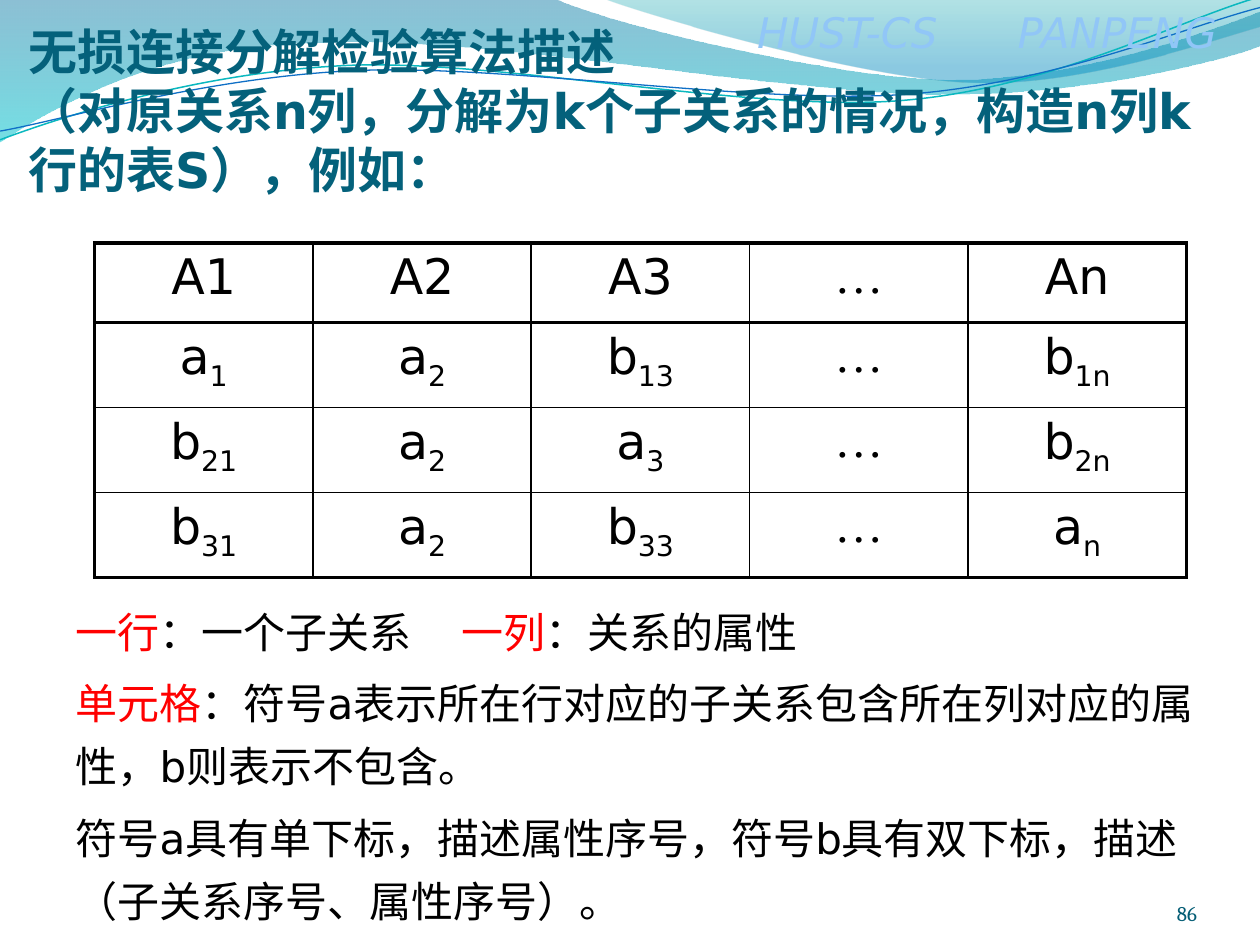
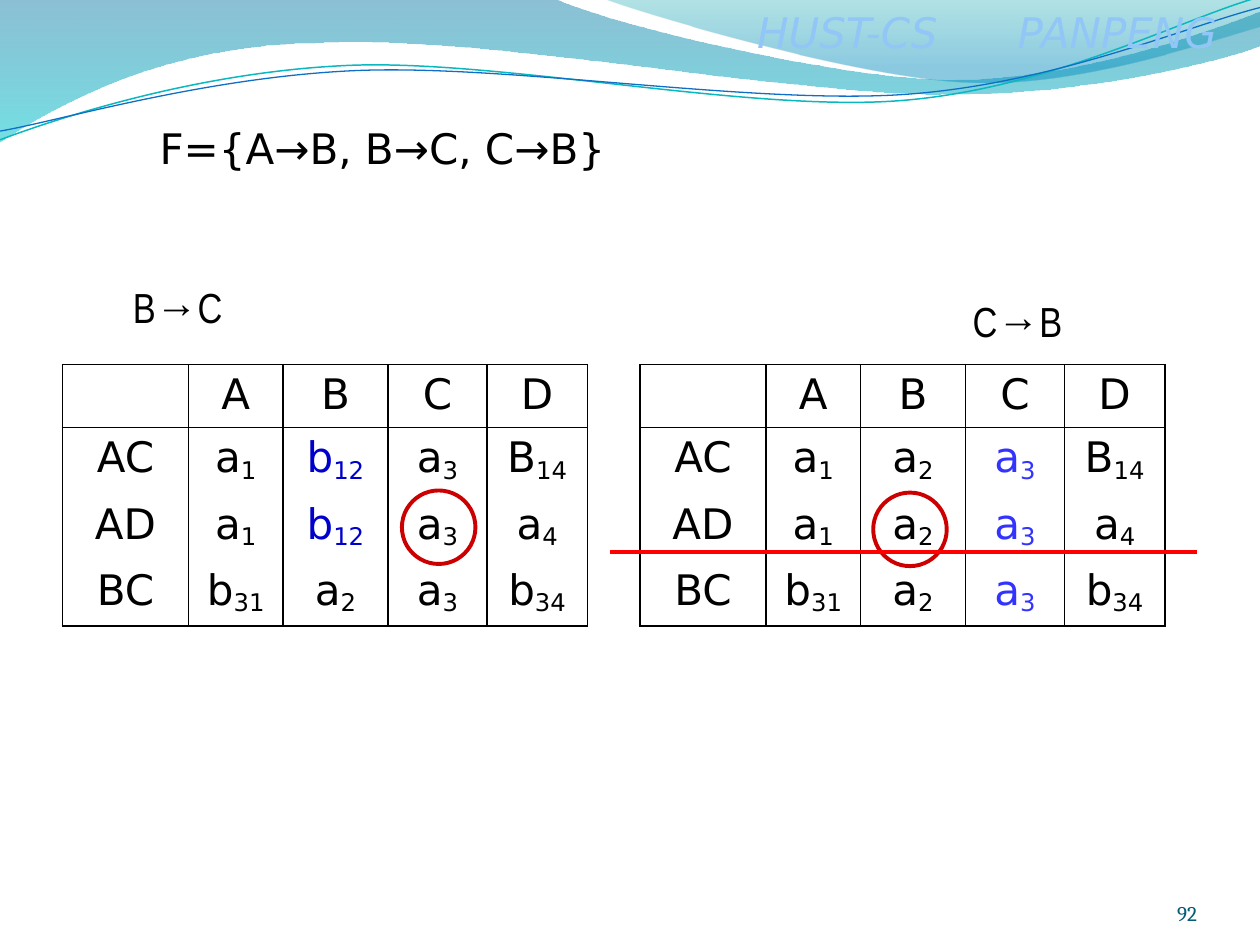
import dataclasses

import lxml.etree
import pptx
import pptx.dml.color
import pptx.enum.shapes
import pptx.enum.text
import pptx.oxml.ns
import pptx.util

Pt = pptx.util.Pt
qn = pptx.oxml.ns.qn
ALIGN = pptx.enum.text.PP_ALIGN
ANCHOR = pptx.enum.text.MSO_ANCHOR


@dataclasses.dataclass(frozen=True)
class Theme:
    # Colours
    ink: str = "000000"
    title: str = "04617B"
    head: str = "91C6F7"
    page: str = "045D75"
    key: str = "FF0000"
    ring: str = "CC0000"
    navy: str = "0000CC"
    blue: str = "3333FF"
    # Fonts
    sans: str = "DejaVu Sans"
    slim: str = "Arial Narrow"
    dots: str = "Times New Roman"
    serif: str = "Cambria"
    # Type sizes and line widths
    big: float = 28
    mid: float = 24
    small: float = 12
    thick: float = 2.25
    thin: float = 1


T = Theme()

# Waves: a start point, then lines (x, y) and curves (two handles, end)
BANDS = [
    ([(0, -0.7), (317, -0.7),
      (342.7, 12.2, 478.1, 45.4, 545.8, 45.4),
      (614.2, 45.4, 689.8, 18.7, 720, 6.5), (720.7, 25.9),
      (707.8, 31.7, 626.4, 54.7, 537.1, 54),
      (447.8, 54, 275, 20.2, 185, 24.5),
      (92.9, 25.2, 33.1, 59.8, -0.7, 81.4)],
     [(0, "0074A1", 45), (1, "00C6CF", 55)]),
    ([(344.9, -0.7),
      (366.5, 7.9, 491, 44.6, 553.7, 46.8),
      (616.3, 49.7, 691.9, 23, 720, 15.1), (720, 0)],
     [(0, "00A1A9", 30), (0.8, "008BBF", 45)]),
]
STRANDS = [
    ([(0, 79.9),
      (34.6, 67, 113.8, 41, 199.4, 37.4),
      (284.4, 33.8, 427, 64.1, 513.4, 57.6),
      (599.8, 51.1, 675.4, 10.8, 718.6, -1.4)], "0AB8BF", 0.85),
    ([(0, 74.9),
      (33.8, 69.1, 118.1, 43.9, 203.8, 40.3),
      (290.2, 36.7, 429.8, 59.8, 516.2, 54),
      (601.9, 48.2, 677.5, 15.1, 720, 4.3)], "0F6FC6", 0.75),
]


def tint(code):
    return pptx.dml.color.RGBColor.from_string(code)


def write(par, text, font=T.sans, size=T.mid, color=T.ink, bold=False,
          slant=False, base=0, track=0):
    """Add one run of text; track is extra letter space in points."""
    run = par.add_run()
    run.text = text
    run.font.name, run.font.size = font, Pt(size)
    run.font.bold, run.font.italic = bold, slant
    run.font.color.rgb = tint(color)
    props = run._r.get_or_add_rPr()
    if base:
        props.set("baseline", str(base * 1000))
    if track:
        props.set("spc", str(round(track * 100)))


def set_plain(par):
    """Take off the bullet and indent."""
    props = par._p.get_or_add_pPr()
    props.set("marL", "0")
    props.set("indent", "0")
    lxml.etree.SubElement(props, qn("a:buNone"))


def place(shape, left, top, width, height):
    shape.left, shape.top = Pt(left), Pt(top)
    shape.width, shape.height = Pt(width), Pt(height)
    frame = shape.text_frame
    frame.word_wrap = True
    frame.auto_size = pptx.enum.text.MSO_AUTO_SIZE.NONE
    return frame


def add_label(slide, box, text, **form):
    """Add a text box with one line of text."""
    shape = slide.shapes.add_textbox(0, 0, 0, 0)
    write(place(shape, *box).paragraphs[0], text, **form)
    return shape


# Shared parts

def add_wave(slide, steps, close):
    """Draw the end points, then bend the curved steps."""
    ends = [(Pt(step[-2]), Pt(step[-1])) for step in steps]
    pen = slide.shapes.build_freeform(*ends[0])
    pen.add_line_segments(ends[1:], close=close)
    wave = pen.convert_to_shape()
    wave.shadow.inherit = False
    lines = wave.element.xpath(".//a:path/a:lnTo")
    for line, step in zip(lines, steps[1:]):
        if len(step) == 2:
            continue
        curve = lxml.etree.Element(qn("a:cubicBezTo"))
        for x, y in zip(step[::2], step[1::2]):
            lxml.etree.SubElement(curve, qn("a:pt"),
                                  x=str(int(Pt(x) - wave.left)),
                                  y=str(int(Pt(y) - wave.top)))
        line.getparent().replace(line, curve)
    return wave


def add_band(slide, steps, stops):
    band = add_wave(slide, steps, True)
    band.line.fill.background()
    band.fill.gradient()
    band.fill.gradient_angle = 270
    for stop, (spot, color, _) in zip(band.fill.gradient_stops, stops):
        stop.position, stop.color.rgb = spot, tint(color)
    for node, (_, _, alpha) in zip(
            band.element.xpath(".//a:gs/a:srgbClr"), stops):
        lxml.etree.SubElement(node, qn("a:alpha"), val=str(alpha * 1000))
    return band


def add_strand(slide, steps, color, width):
    strand = add_wave(slide, steps, False)
    strand.fill.background()
    strand.line.color.rgb, strand.line.width = tint(color), Pt(width)
    return strand


def dress(deck, slide):
    """Draw the waves and header once, then move them to the master."""
    parts = [add_band(slide, *band) for band in BANDS]
    parts += [add_strand(slide, *strand) for strand in STRANDS]
    form = {"color": T.head, "slant": True}
    head = add_label(slide, (425.5, 0, 291.6, 36), "HUST-CS", **form)
    par = head.text_frame.paragraphs[0]
    write(par, " ", track=38.15, **form)
    write(par, "PANPENG", **form)
    parts.append(head)
    tree = deck.slide_master.shapes.element
    for i, part in enumerate(parts):
        part.element.xpath(".//p:cNvPr")[0].set("id", str(100 + i))
        tree.insert(2 + i, part.element)


def add_page(slide, number):
    frame = add_label(slide, (624, 500.4, 60, 28.8), str(number),
                      font=T.serif, size=T.small, color=T.page).text_frame
    frame.margin_left = frame.margin_right = 0
    frame.margin_top = frame.margin_bottom = 0
    frame.vertical_anchor = ANCHOR.BOTTOM
    frame.paragraphs[0].alignment = ALIGN.RIGHT


# Tables

def set_edges(cell, widths):
    """Draw left, right, top and bottom edges; zero means none."""
    props = cell._tc.get_or_add_tcPr()
    for i, (side, width) in enumerate(zip("LRTB", widths)):
        line = lxml.etree.Element(qn("a:ln" + side), w=str(Pt(width)))
        kind = "a:solidFill" if width else "a:noFill"
        fill = lxml.etree.SubElement(line, qn(kind))
        if width:
            lxml.etree.SubElement(fill, qn("a:srgbClr"), val=T.ink)
        props.insert(i, line)


def add_grid(slide, left, top, cols, rows, cells, rule, size, base,
             tints=None):
    """Add a table; "a_1" is a with a subscript, tints maps cells to colours.

    rule(line, last) gives the widths of row rules; the first and last
    column edges take the width of the top rule.
    """
    grid = slide.shapes.add_table(len(rows), len(cols), Pt(left), Pt(top),
                                  Pt(sum(cols)), Pt(sum(rows))).table
    grid.first_row = grid.horz_banding = False
    for col, width in zip(grid.columns, cols):
        col.width = Pt(width)
    for row, height in zip(grid.rows, rows):
        row.height = Pt(height)
    outer = rule(0, len(rows))
    for r, line in enumerate(cells):
        for c, text in enumerate(line.split("|")):
            cell = grid.cell(r, c)
            cell.fill.background()
            set_edges(cell, (outer if c == 0 else T.thin,
                             outer if c == len(cols) - 1 else T.thin,
                             rule(r, len(rows)), rule(r + 1, len(rows))))
            par = cell.text_frame.paragraphs[0]
            par.alignment = ALIGN.CENTER
            form = {"size": size, "color": (tints or {}).get((r, c), T.ink),
                    "font": T.dots if text == "…" else T.sans}
            stem, _, sub = text.partition("_")
            if stem:
                write(par, stem, **form)
            if sub:
                write(par, sub, base=base, **form)


def heavy_rule(line, last):
    return T.thick if line in (0, 1, last) else T.thin


def open_rule(line, last):
    return T.thin if line in (0, 1, last) else 0


def add_ring(slide, left, top):
    ring = slide.shapes.add_shape(pptx.enum.shapes.MSO_SHAPE.OVAL,
                                  Pt(left), Pt(top), Pt(42), Pt(42))
    ring.shadow.inherit = False
    ring.fill.background()
    ring.line.color.rgb, ring.line.width = tint(T.ring), Pt(T.thick)


def add_rule(slide, left, right, y):
    rule = slide.shapes.add_connector(
        pptx.enum.shapes.MSO_CONNECTOR.STRAIGHT,
        Pt(left), Pt(y), Pt(right), Pt(y))
    rule.line.color.rgb, rule.line.width = tint(T.key), Pt(T.thick)
    lxml.etree.SubElement(rule.element.spPr, qn("a:effectLst"))


# Slides

def fill_method(slide):
    frame = place(slide.shapes.title, 9, 5.76, 702, 113.76)
    frame.vertical_anchor = ANCHOR.MIDDLE
    for i, text in enumerate((
            "无损连接分解检验算法描述",
            "（对原关系n列，分解为k个子关系的情况，构造n列k行的表S），例如：")):
        par = frame.add_paragraph() if i else frame.paragraphs[0]
        par.alignment = ALIGN.LEFT
        write(par, text, size=T.big, color=T.title, bold=True)

    add_grid(slide, 54, 138.96, [124.8] * 5, [45.5] + [48.5] * 3,
             ["A1|A2|A3|…|An", "a_1|a_2|b_13|…|b_1n",
              "b_21|a_2|a_3|…|b_2n", "b_31|a_2|b_33|…|a_n"],
             heavy_rule, T.big, -25)

    # Each run: text, colour, letter space
    notes = [
        [("一行", T.key, 0), ("：一个子关系", T.ink, 0), (" ", T.ink, 22.9),
         ("一列", T.key, 0), ("：关系的属性", T.ink, 0)],
        [("单元格", T.key, 0),
         ("：符号a表示所在行对应的子关系包含所在列对应的属性，b则表示不包含。",
          T.ink, 0)],
        [("符号a具有单下标，描述属性序号，符号b具有双下标，"
          "描述（子关系序号、属性序号）。", T.ink, 0)],
    ]
    frame = place(slide.placeholders[1], 36, 335.8, 653.76, 185.76)
    for i, runs in enumerate(notes):
        par = frame.add_paragraph() if i else frame.paragraphs[0]
        set_plain(par)
        par.line_spacing = 1.25
        par.space_before = Pt(4.8 if i else 0)
        for text, color, track in runs:
            write(par, text, color=color, track=track)


def fill_steps(slide):
    title = slide.shapes.title.element
    title.getparent().remove(title)
    par = place(slide.placeholders[1], 84, 66.24, 285.84, 36).paragraphs[0]
    set_plain(par)
    par.space_before = Pt(0)
    write(par, "F={A→B, B→C, C→B}")

    add_label(slide, (68.8, 157.4, 68, 36), "B→C", font=T.slim)
    add_label(slide, (548.64, 165.3, 77.8, 36), "C→B", font=T.slim)

    # Both steps share the grid; the second one changes b12 to a2
    for left, mark, column, color, shaded in (
            (35.7, "b_12", 2, T.navy, (1, 2)),
            (365.7, "a_2", 3, T.blue, (1, 2, 3))):
        add_grid(slide, left, 208.3, [72, 54, 60, 56.6, 57.4],
                 [36.1] + [37.8] * 3,
                 ["|A|B|C|D", f"AC|a_1|{mark}|a_3|B_14",
                  f"AD|a_1|{mark}|a_3|a_4", "BC|b_31|a_2|a_3|b_34"],
                 open_rule, T.mid, -16,
                 {(row, column): color for row in shaded})

    add_ring(slide, 229.7, 280.3)
    add_ring(slide, 499, 281.5)
    add_rule(slide, 348.5, 684, 315.4)


def main():
    deck = pptx.Presentation()
    deck.slide_width, deck.slide_height = Pt(720), Pt(540)
    for number, fill in ((86, fill_method), (92, fill_steps)):
        slide = deck.slides.add_slide(deck.slide_layouts[1])
        if len(deck.slides) == 1:
            dress(deck, slide)
        fill(slide)
        add_page(slide, number)
    deck.save("out.pptx")


if __name__ == "__main__":
    main()
